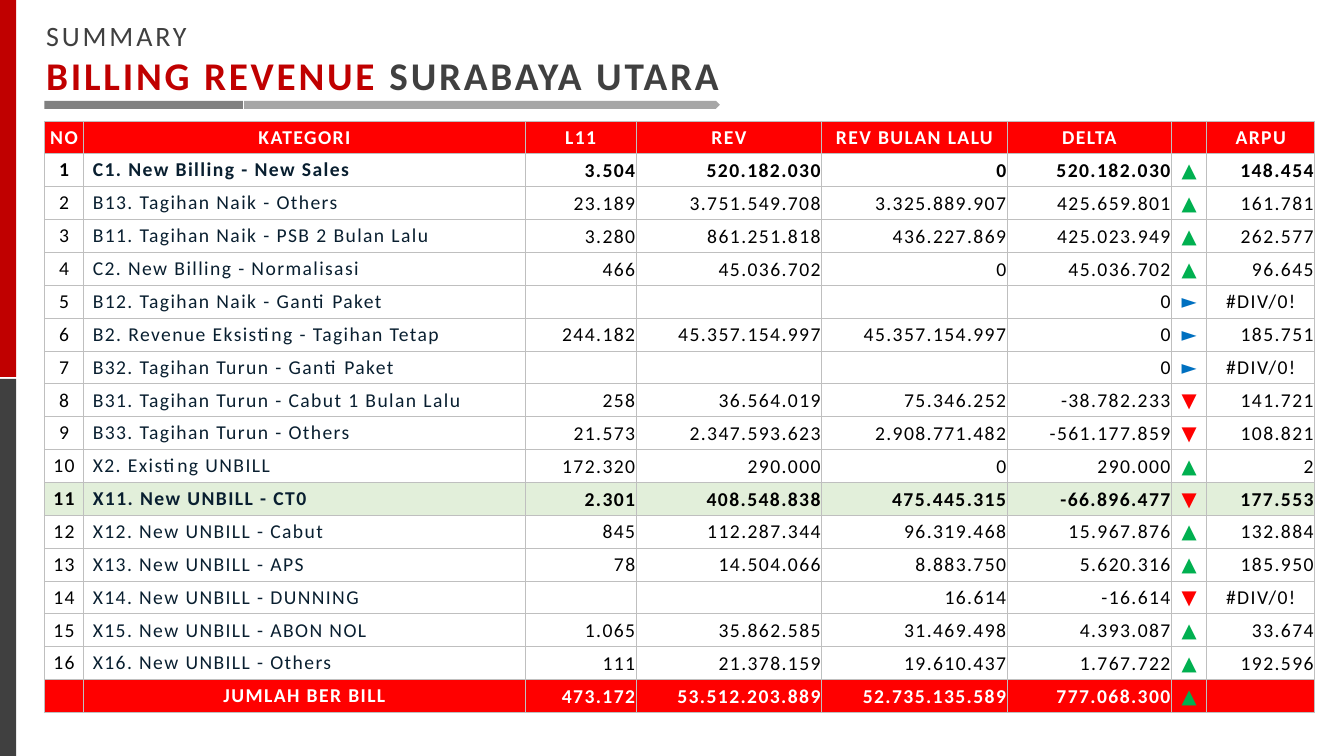
"""Build the billing revenue summary slide for Surabaya Utara."""
from dataclasses import dataclass

from lxml import etree
from pptx import Presentation
from pptx.dml.color import RGBColor
from pptx.enum.shapes import MSO_SHAPE
from pptx.enum.text import MSO_ANCHOR, MSO_AUTO_SIZE, PP_ALIGN
from pptx.oxml.ns import qn
from pptx.util import Inches, Pt

RECT, PENTAGON = MSO_SHAPE.RECTANGLE, MSO_SHAPE.PENTAGON
LEFT, CENTER, RIGHT = PP_ALIGN.LEFT, PP_ALIGN.CENTER, PP_ALIGN.RIGHT
MIDDLE = MSO_ANCHOR.MIDDLE
FIT_TEXT = MSO_AUTO_SIZE.SHAPE_TO_FIT_TEXT


@dataclass(frozen=True)
class Theme:
    font: str = "Calibri"
    kicker_size: int = 20
    title_size: int = 28
    table_size: int = 14
    title_spacing: int = 200
    table_spacing: int = 100
    crimson: str = "C00000"
    charcoal: str = "404040"
    gray: str = "808080"
    silver: str = "A6A6A6"
    border: str = "BFBFBF"
    red: str = "FF0000"
    green: str = "00B050"
    blue: str = "0070C0"
    highlight: str = "E2EFDA"
    navy: str = "091F30"
    black: str = "000000"
    white: str = "FFFFFF"


class SlideBuilder:
    def __init__(self, slide, theme):
        self.slide = slide
        self.theme = theme

    def format_run(self, run, size, color, bold, spacing):
        run.font.name = self.theme.font
        run.font.size = Pt(size)
        run.font.bold = bold
        run.font.color.rgb = RGBColor.from_string(color)
        run._r.get_or_add_rPr().set("spc", str(spacing))

    def bar(self, preset, left, top, width, height, color):
        bar = self.slide.shapes.add_shape(
            preset, Inches(left), Inches(top), Inches(width), Inches(height))
        bar.shadow.inherit = False
        bar.fill.solid()
        bar.fill.fore_color.rgb = RGBColor.from_string(color)
        bar.line.fill.background()

    def heading(self, left, top, width, height, lines):
        heading = self.slide.shapes.add_textbox(
            Inches(left), Inches(top), Inches(width), Inches(height))
        frame = heading.text_frame
        frame.word_wrap = False
        frame.auto_size = FIT_TEXT
        frame.text = "\n".join("".join(part[0] for part in line) for line in lines)
        for paragraph, line in zip(frame.paragraphs, lines):
            paragraph.text = ""
            for text, size, color, bold in line:
                run = paragraph.add_run()
                run.text = text
                self.format_run(run, size, color, bold, self.theme.title_spacing)

    def table(self, left, top, height, widths, row_count):
        table = self.slide.shapes.add_table(
            row_count, len(widths), Inches(left), Inches(top),
            Inches(sum(widths)), Inches(height)).table
        table.first_row = table.horz_banding = False
        for column, width in zip(table.columns, widths):
            column.width = Inches(width)
        for row in table.rows:
            row.height = Inches(height / row_count)
        return table

    def cell(self, cell, text, align, color, bold, fill, margin=0, indent=0):
        cell.vertical_anchor = MIDDLE
        cell.margin_left = cell.margin_right = cell.margin_top = Inches(margin)
        cell.margin_bottom = 0
        self.cell_borders(cell)
        if fill:
            cell.fill.solid()
            cell.fill.fore_color.rgb = RGBColor.from_string(fill)
        else:
            cell.fill.background()
        cell.text_frame.text = text
        paragraph = cell.text_frame.paragraphs[0]
        paragraph.alignment = align
        if indent:
            paragraph._p.get_or_add_pPr().set("indent", str(Inches(indent)))
        for run in paragraph.runs:
            self.format_run(run, self.theme.table_size, color, bold,
                            self.theme.table_spacing)

    def cell_borders(self, cell):
        properties = cell._tc.get_or_add_tcPr()
        for side in ("a:lnL", "a:lnR", "a:lnT", "a:lnB"):
            line = etree.SubElement(properties, qn(side), w=str(Pt(0.75)))
            fill = etree.SubElement(line, qn("a:solidFill"))
            etree.SubElement(fill, qn("a:srgbClr"), val=self.theme.border)


HEADERS = ("NO", "KATEGORI", "L11", "REV", "REV BULAN LALU", "DELTA", "", "ARPU")
COLUMN_WIDTHS = (0.39, 4.38, 1.1, 1.84, 1.84, 1.63, 0.35, 1.07)
CATEGORIES = (
    ("C1. New Billing - New Sales", "3.504", "520.182.030", "0", "520.182.030", "148.454"),
    ("B13. Tagihan Naik - Others", "23.189", "3.751.549.708", "3.325.889.907", "425.659.801", "161.781"),
    ("B11. Tagihan Naik - PSB 2 Bulan Lalu", "3.280", "861.251.818", "436.227.869", "425.023.949", "262.577"),
    ("C2. New Billing - Normalisasi", "466", "45.036.702", "0", "45.036.702", "96.645"),
    ("B12. Tagihan Naik - Ganti Paket", "", "", "", "0", "#DIV/0!"),
    ("B2. Revenue Eksisting - Tagihan Tetap", "244.182", "45.357.154.997", "45.357.154.997", "0", "185.751"),
    ("B32. Tagihan Turun - Ganti Paket", "", "", "", "0", "#DIV/0!"),
    ("B31. Tagihan Turun - Cabut 1 Bulan Lalu", "258", "36.564.019", "75.346.252", "-38.782.233", "141.721"),
    ("B33. Tagihan Turun - Others", "21.573", "2.347.593.623", "2.908.771.482", "-561.177.859", "108.821"),
    ("X2. Existing UNBILL", "172.320", "290.000", "0", "290.000", "2"),
    ("X11. New UNBILL - CT0", "2.301", "408.548.838", "475.445.315", "-66.896.477", "177.553"),
    ("X12. New UNBILL - Cabut", "845", "112.287.344", "96.319.468", "15.967.876", "132.884"),
    ("X13. New UNBILL - APS", "78", "14.504.066", "8.883.750", "5.620.316", "185.950"),
    ("X14. New UNBILL - DUNNING", "", "", "16.614", "-16.614", "#DIV/0!"),
    ("X15. New UNBILL - ABON NOL", "1.065", "35.862.585", "31.469.498", "4.393.087", "33.674"),
    ("X16. New UNBILL - Others", "111", "21.378.159", "19.610.437", "1.767.722", "192.596"),
)
TOTAL = ("JUMLAH BER BILL", "473.172", "53.512.203.889", "52.735.135.589", "777.068.300", "")
BOLD_NUMBERS = (1, 11)
HIGHLIGHTED_NUMBER = 11


def trend(delta, theme):
    if delta == "0":
        return "►", theme.blue
    return ("▼", theme.red) if delta.startswith("-") else ("▲", theme.green)


def fill_row(builder, cells, number, record, text_color, name_color, bold, fill,
             name_align=LEFT, name_indent=0.0):
    category, *amounts, arpu = record
    arrow, arrow_color = trend(amounts[-1], builder.theme)
    builder.cell(cells[0], number, CENTER, text_color, bold, fill)
    builder.cell(cells[1], category, name_align, name_color, bold, fill,
                 indent=name_indent)
    for cell, amount in zip(cells[2:6], amounts):
        builder.cell(cell, amount, RIGHT, text_color, bold, fill, margin=0.01)
    builder.cell(cells[6], arrow, CENTER, arrow_color, bold, fill, margin=0.01)
    arpu_align = CENTER if arpu.startswith("#") else RIGHT
    builder.cell(cells[7], arpu, arpu_align, text_color, bold, fill, margin=0.01)


def main():
    theme = Theme()
    deck = Presentation()
    deck.slide_width, deck.slide_height = Inches(13.33), Inches(7.5)
    builder = SlideBuilder(deck.slides.add_slide(deck.slide_layouts[6]), theme)

    builder.bar(RECT, 0, 3.76, 0.16, 3.74, theme.charcoal)
    builder.bar(RECT, 0, 0, 0.16, 3.74, theme.crimson)
    builder.heading(0.36, 0.13, 7.08, 0.91, (
        (("SUMMARY", theme.kicker_size, theme.charcoal, False),),
        (("BILLING REVENUE", theme.title_size, theme.crimson, True),
         (" SURABAYA UTARA", theme.title_size, theme.charcoal, True)),
    ))
    builder.bar(PENTAGON, 2.42, 1, 4.72, 0.08, theme.silver)
    builder.bar(RECT, 0.44, 1, 1.97, 0.08, theme.gray)

    revenue = builder.table(0.44, 1.2, 5.87, COLUMN_WIDTHS, len(CATEGORIES) + 2)
    header_row, *category_rows, total_row = [list(row.cells) for row in revenue.rows]
    for cell, header in zip(header_row, HEADERS):
        builder.cell(cell, header, CENTER, theme.white, True, theme.red)
    for number, (cells, record) in enumerate(zip(category_rows, CATEGORIES), 1):
        fill = theme.highlight if number == HIGHLIGHTED_NUMBER else None
        fill_row(builder, cells, str(number), record, theme.black, theme.navy,
                 number in BOLD_NUMBERS, fill, name_indent=0.09)
    fill_row(builder, total_row, "", TOTAL, theme.white, theme.white, True,
             theme.red, name_align=CENTER)

    deck.save("out.pptx")


main()
